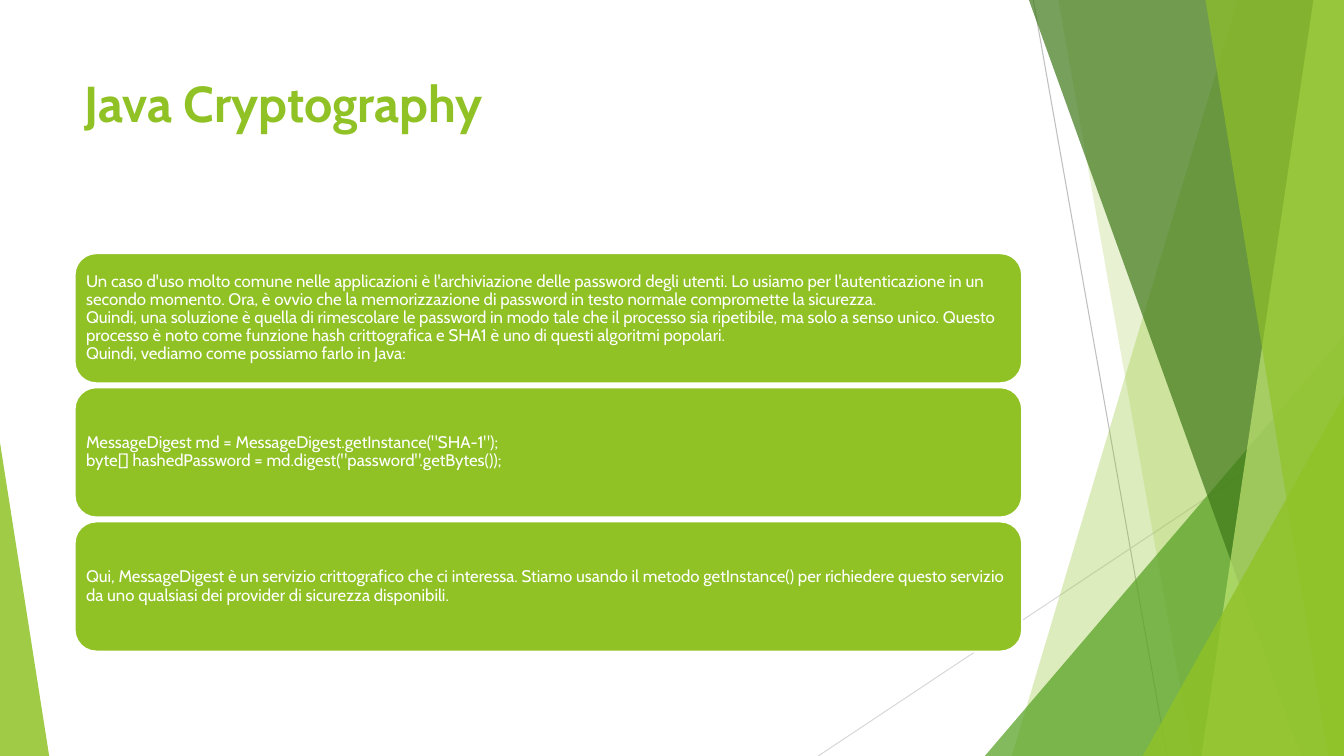
import pptx
import pptx.util
import pptx.dml.color
import pptx.enum.shapes
import pptx.enum.text
import pptx.oxml.ns
import lxml.etree
from pptx.util import Cm

TITLE = "Java Cryptography"
CARDS = [
    [
        "Un caso d'uso molto comune nelle applicazioni è l'archiviazione delle password degli utenti. "
        "Lo usiamo per l'autenticazione in un secondo momento. Ora, è ovvio che la memorizzazione di "
        "password in testo normale compromette la sicurezza.",
        "Quindi, una soluzione è quella di rimescolare le password in modo tale che il processo sia "
        "ripetibile, ma solo a senso unico. Questo processo è noto come funzione hash crittografica e "
        "SHA1 è uno di questi algoritmi popolari.",
        "Quindi, vediamo come possiamo farlo in Java:",
    ],
    [
        'MessageDigest md = MessageDigest.getInstance("SHA-1");',
        'byte[] hashedPassword = md.digest("password".getBytes());',
    ],
    [
        "Qui, MessageDigest è un servizio crittografico che ci interessa. Stiamo usando il metodo "
        "getInstance() per richiedere questo servizio da uno qualsiasi dei provider di sicurezza "
        "disponibili.",
    ],
]

THEME = {
    "font": "Cabin", "title_size": 36, "body_size": 12,
    "green": "90C226", "leaf": "54A021", "forest": "3F7819", "lime": "C0E474",
    "white": "FFFFFF", "grey": "BFBFBF", "pale": "D9D9D9",
}

PAGE_WIDTH, PAGE_HEIGHT = 33.87, 19.05
LEFT, CONTENT_WIDTH = 1.88, 23.88
TITLE_TOP, TITLE_HEIGHT = 1.7, 3.66
CARD_TOP, CARD_HEIGHT, CARD_PITCH = 6.38, 3.28, 3.38
CARD_INSET = 0.13

RAYS = [
    ((26.04, 0), (29.41, PAGE_HEIGHT), "grey"),
    ((PAGE_WIDTH, 10.24), (20.62, PAGE_HEIGHT), "pale"),
]
# band: top x, bottom x; triangle: left, top, width, apex
FACETS = [
    ("band", (31.19, 25.5), "green", 30),
    ("band", (26.67, 30.05), "green", 20),
    ("triangle", (24.82, 8.46, 9.05, 1), "leaf", 72),
    ("band", (25.93, 32.79), "forest", 70),
    ("band", (33.1, 30.28), "lime", 70),
    ("band", (30.38, 33.48), "green", 65),
    ("triangle", (28.8, 9.98, 5.07, 1), "green", 80),
    ("triangle", (0, 11.15, 1.24, 0), "green", 85),
]


def color(name):
    return pptx.dml.color.RGBColor.from_string(THEME[name])


def paint(shape, name, opacity=100):
    shape.shadow.inherit = False
    shape.fill.solid()
    shape.fill.fore_color.rgb = color(name)
    shape.line.fill.background()
    if opacity < 100:
        tint = shape.fill._xPr.find(".//" + pptx.oxml.ns.qn("a:srgbClr"))
        alpha = lxml.etree.SubElement(tint, pptx.oxml.ns.qn("a:alpha"))
        alpha.set("val", str(opacity * 1000))


def add_ray(slide, start, end, name):
    ray = slide.shapes.add_connector(
        pptx.enum.shapes.MSO_CONNECTOR.STRAIGHT, *map(Cm, start + end))
    ray.line.color.rgb = color(name)
    ray.line.width = pptx.util.Pt(0.75)
    lxml.etree.SubElement(ray._element.spPr, pptx.oxml.ns.qn("a:effectLst"))


def add_band(slide, top_x, bottom_x):
    builder = slide.shapes.build_freeform(Cm(top_x), 0)
    corners = [(PAGE_WIDTH, 0), (PAGE_WIDTH, PAGE_HEIGHT), (bottom_x, PAGE_HEIGHT)]
    builder.add_line_segments([(Cm(x), Cm(y)) for x, y in corners], close=True)
    return builder.convert_to_shape()


def add_triangle(slide, left, top, width, apex):
    triangle = slide.shapes.add_shape(
        pptx.enum.shapes.MSO_SHAPE.ISOSCELES_TRIANGLE,
        Cm(left), Cm(top), Cm(width), Cm(PAGE_HEIGHT - top))
    triangle.adjustments[0] = apex
    return triangle


def write(shape, lines, size, name, bold=False):
    shape.text_frame.word_wrap = True
    para = shape.text_frame.paragraphs[0]
    para.alignment = pptx.enum.text.PP_ALIGN.LEFT
    for index, line in enumerate(lines):
        if index:
            para.add_line_break()
        span = para.add_run()
        span.text = line
        span.font.name = THEME["font"]
        span.font.size = pptx.util.Pt(THEME[size])
        span.font.bold = bold
        span.font.color.rgb = color(name)
    return para


def add_card(slide, top, lines):
    card = slide.shapes.add_shape(
        pptx.enum.shapes.MSO_SHAPE.ROUNDED_RECTANGLE,
        Cm(LEFT), Cm(top), Cm(CONTENT_WIDTH), Cm(CARD_HEIGHT))
    paint(card, "green")
    card.line.color.rgb = color("white")
    card.line.width = pptx.util.Pt(1.5)
    frame = card.text_frame
    frame.margin_left = frame.margin_right = Cm(CARD_INSET)
    frame.margin_top = frame.margin_bottom = Cm(CARD_INSET)
    frame.vertical_anchor = pptx.enum.text.MSO_ANCHOR.MIDDLE
    write(card, lines, "body_size", "white").line_spacing = 0.9


def main():
    deck = pptx.Presentation()
    deck.slide_width, deck.slide_height = Cm(PAGE_WIDTH), Cm(PAGE_HEIGHT)
    slide = deck.slides.add_slide(deck.slide_layouts[6])
    for ray in RAYS:
        add_ray(slide, *ray)
    builders = {"band": add_band, "triangle": add_triangle}
    for kind, geometry, name, opacity in FACETS:
        paint(builders[kind](slide, *geometry), name, opacity)
    title = slide.shapes.add_textbox(
        Cm(LEFT), Cm(TITLE_TOP), Cm(CONTENT_WIDTH), Cm(TITLE_HEIGHT))
    write(title, [TITLE], "title_size", "green", bold=True)
    for index, lines in enumerate(CARDS):
        add_card(slide, CARD_TOP + index * CARD_PITCH, lines)
    deck.save("out.pptx")


if __name__ == "__main__":
    main()
